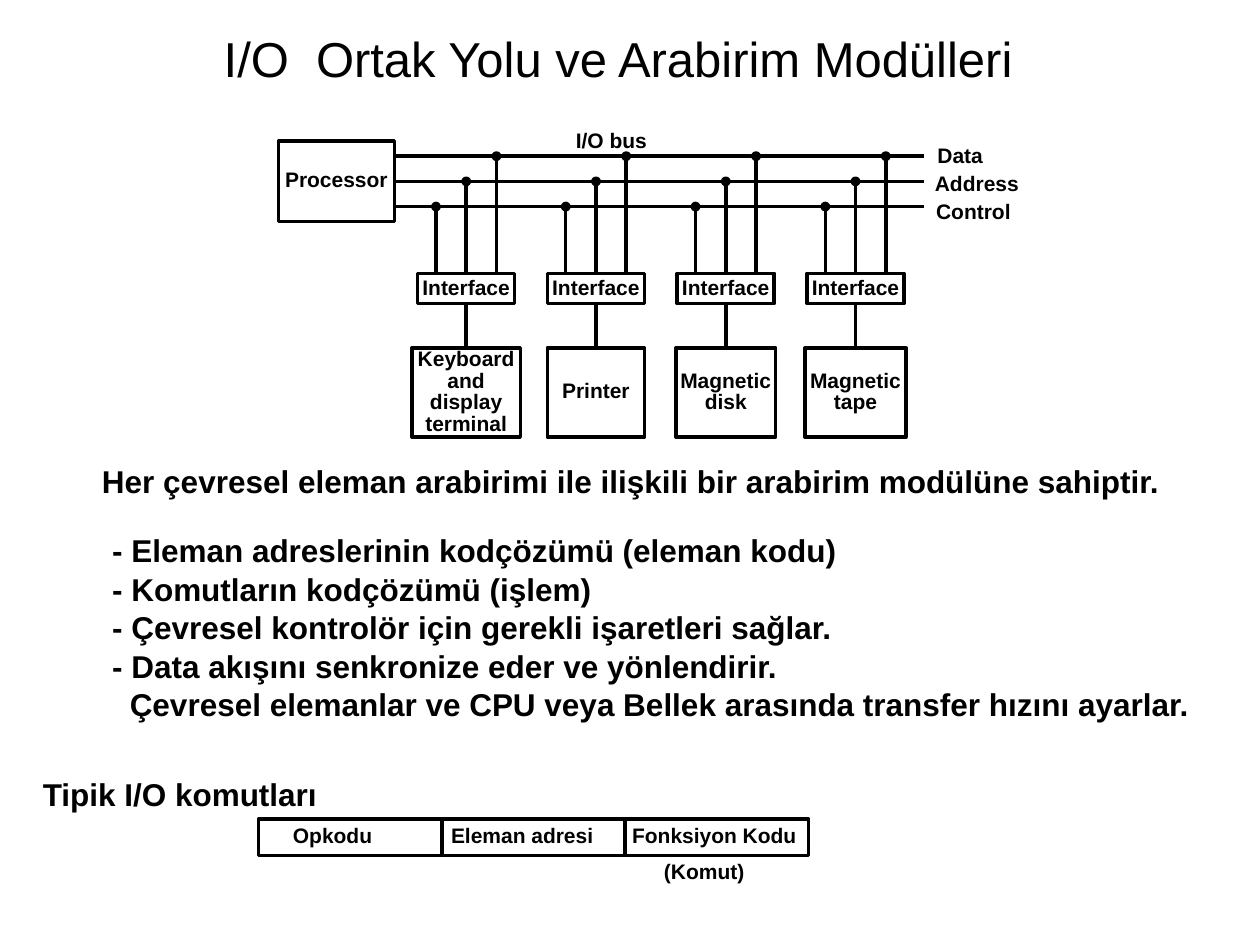
from dataclasses import dataclass

from lxml.etree import SubElement
from pptx import Presentation
from pptx.dml.color import RGBColor
from pptx.enum.shapes import MSO_CONNECTOR, MSO_SHAPE
from pptx.enum.text import MSO_ANCHOR, PP_ALIGN
from pptx.oxml.ns import qn
from pptx.util import Inches, Pt


@dataclass
class Theme:
    font: str = "Arial"
    ink: RGBColor = RGBColor(0, 0, 0)
    title: int = 28
    body: int = 18
    label: int = 12
    line: int = 2


theme = Theme()
cell = Inches(0.1)  # the slide is a grid of 100 columns and 75 rows

deck = Presentation()
deck.slide_width, deck.slide_height = 100 * cell, 75 * cell
slide = deck.slides.add_slide(deck.slide_layouts[5])
shapes = slide.shapes


def grid(*cells):
    return [round(n * cell) for n in cells]


def write(shape, text, size, align=PP_ALIGN.CENTER, gap=0.86, bold=True):
    """Set text without margins, centred vertically in the shape."""
    frame = shape.text_frame
    frame.text = text
    frame.word_wrap = False
    frame.vertical_anchor = MSO_ANCHOR.MIDDLE
    frame.margin_left = frame.margin_right = 0
    frame.margin_top = frame.margin_bottom = 0
    for para in frame.paragraphs:
        para.alignment = align
        para.line_spacing = gap
        for run in para.runs:
            run.font.name = theme.font
            run.font.size = Pt(size)
            run.font.bold = bold
            run.font.color.rgb = theme.ink


# Title
title = shapes.title
title.left, title.top, title.width, title.height = grid(8.3, -1.1, 81.5, 11.4)
write(title, "I/O  Ortak Yolu ve Arabirim Modülleri", theme.title, gap=1, bold=False)

# Boxes: centre column, top, width, height, text
mids = [37 + 10.3 * i for i in range(4)]
plan = [(26.7, 11.2, 9.2, 6.4, "Processor")]
plan += [(mid, 21.7, 7.7, 2.4, "Interface") for mid in mids]
units = [
    (8.6, "Keyboard\nand\ndisplay\nterminal"),
    (7.7, "Printer"),
    (7.9, "Magnetic\ndisk"),
    (8, "Magnetic\ntape"),
]
plan += [(mid, 27.6, wide, 7.1, text) for mid, (wide, text) in zip(mids, units)]
fields = ["Opkodu", "Eleman adresi", "Fonksiyon Kodu"]
plan += [(27.8 + 14.55 * i, 65, 14.55, 2.9, text) for i, text in enumerate(fields)]

boxes = []
for mid, top, wide, high, text in plan:
    box = shapes.add_shape(MSO_SHAPE.RECTANGLE, *grid(mid - wide / 2, top, wide, high))
    box.shadow.inherit = False
    box.fill.background()
    box.line.color.rgb = theme.ink
    box.line.width = Pt(theme.line)
    write(box, text, theme.label)
    boxes.append(box)
cpu, ports, ends = boxes[0], boxes[1:5], boxes[5:9]
for box, inset in zip(boxes[9:], (2.8, 1.8, 0.4)):
    box.text_frame.margin_right = round(inset * cell)

# Lines: start, end, box joined at the start, box joined at the end
wires = []
for step in (-1, 0, 1):
    row = 14.4 - 2 * step
    wires.append((31.3, row, 73.3, row, None if step else (cpu, 3), None))
    for mid, port in zip(mids, ports):
        col = mid + 2.4 * step
        wires.append((col, row, col, 21.7, None, None if step else (port, 0)))
        dot = shapes.add_shape(MSO_SHAPE.OVAL, *grid(col - 0.25, row - 0.25, 0.5, 0.5))
        dot.shadow.inherit = False
        dot.fill.solid()
        dot.fill.fore_color.rgb = theme.ink
        dot.line.color.rgb = theme.ink
        dot.line.width = Pt(theme.line)
for mid, port, end in zip(mids, ports, ends):
    wires.append((mid, 24.1, mid, 27.6, (port, 2), (end, 0)))

for *ends_at, first, last in wires:
    wire = shapes.add_connector(MSO_CONNECTOR.STRAIGHT, *grid(*ends_at))
    wire.line.color.rgb = theme.ink
    wire.line.width = Pt(theme.line)
    SubElement(wire.element.spPr, qn("a:effectLst"))
    if first:
        wire.begin_connect(*first)
    if last:
        wire.end_connect(*last)

# Free text: left, top, width, height, size, text
duties = [
    "- Eleman adreslerinin kodçözümü (eleman kodu)",
    "- Komutların kodçözümü (işlem)",
    "- Çevresel kontrolör için gerekli işaretleri sağlar.",
    "- Data akışını senkronize eder ve yönlendirir.",
    "Çevresel elemanlar ve CPU veya Bellek arasında transfer hızını ayarlar.",
]
notes = [
    (45.7, 9.7, 7, 2.8, theme.label, "I/O bus"),
    (74.4, 10.9, 7, 2.8, theme.label, "Data"),
    (74.2, 13.1, 7, 2.8, theme.label, "Address"),
    (74.3, 15.3, 7, 2.8, theme.label, "Control"),
    (52.7, 67.9, 7, 2.5, theme.label, "(Komut)"),
    (8.1, 36.4, 85, 3.4, theme.body,
     "Her çevresel eleman arabirimi ile ilişkili bir arabirim modülüne sahiptir."),
    (3.4, 61.2, 23, 3.5, theme.body, "Tipik I/O komutları"),
    (8.9, 42.2, 87, 15.1, theme.body, "\n".join(duties)),
]
for left, top, wide, high, size, text in notes:
    note = shapes.add_textbox(*grid(left, top, wide, high))
    write(note, text, size, PP_ALIGN.LEFT, gap=1.02)

# The last duty lines up with the words after the dashes
tail = note.text_frame.paragraphs[-1]
tail._p.get_or_add_pPr().set("marL", str(round(1.4 * cell)))

deck.save("out.pptx")
